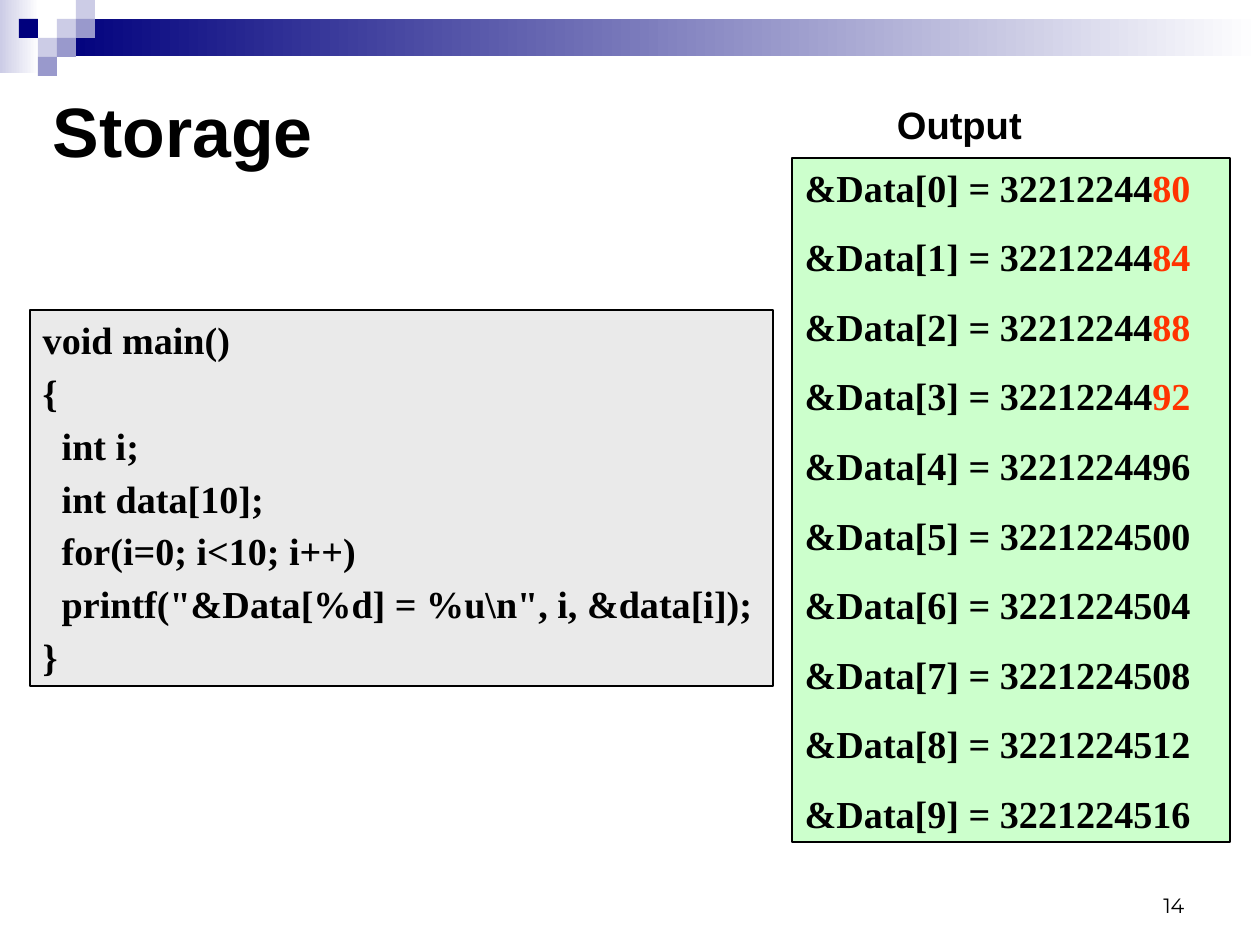
from pptx import Presentation
from pptx.dml.color import RGBColor
from pptx.enum.shapes import MSO_SHAPE
from pptx.enum.text import MSO_ANCHOR, MSO_AUTO_SIZE, PP_ALIGN
from pptx.util import Emu, Pt

BLACK = RGBColor(0x00, 0x00, 0x00)
WHITE = RGBColor(0xFF, 0xFF, 0xFF)
NAVY = RGBColor(0x00, 0x00, 0x7D)
LILAC = RGBColor(0x99, 0x99, 0xCC)
PALE_LILAC = RGBColor(0xCC, 0xCC, 0xE6)
GREY = RGBColor(0xEA, 0xEA, 0xEA)
GREEN = RGBColor(0xCC, 0xFF, 0xCC)
RED = RGBColor(0xFF, 0x33, 0x00)

EMU_PER_PX = 8000
SERIF = "Times New Roman"
SANS = "Arial"

CODE = r'''void main()
{
  int i;
  int data[10];
  for(i=0; i<10; i++)
  printf("&Data[%d] = %u\n", i, &data[i]);
}'''

FIRST_ADDRESS = 3221224480
INT_BYTES = 4
HIGHLIGHTED_ROWS = 4

# Column, row and colour of each corner square
SQUARE_SIDE = 19
SQUARES = [
    (3, 1, PALE_LILAC), (4, 0, PALE_LILAC), (4, 1, LILAC), (2, 2, PALE_LILAC),
    (1, 1, NAVY), (3, 2, LILAC), (2, 3, LILAC),
]


def px(*lengths):
    return [Emu(length * EMU_PER_PX) for length in lengths]


def write(frame, lines, size=24, font=SANS, bold=True, align=PP_ALIGN.LEFT,
          anchor=MSO_ANCHOR.TOP, inset=(8, 4), before=0, line_height=None):
    """Fill a text frame; each line is a list of (text, colour) spans."""
    frame.word_wrap = True
    frame.auto_size = MSO_AUTO_SIZE.NONE
    frame.vertical_anchor = anchor
    frame.margin_left = frame.margin_right = Pt(inset[0])
    frame.margin_top = frame.margin_bottom = Pt(inset[1])
    for index, line in enumerate(lines):
        para = frame.add_paragraph() if index else frame.paragraphs[0]
        para.alignment = align
        para.space_before = Pt(before if index else 0)
        if line_height:
            para.line_spacing = Pt(line_height)
        for text, colour in line:
            span = para.add_run()
            span.text = text
            span.font.name = font
            span.font.size = Pt(size)
            span.font.bold = bold
            span.font.color.rgb = colour


class StorageSlide:
    def __init__(self, deck):
        self.page = deck.slides.add_slide(deck.slide_layouts[5])
        self.shapes = self.page.shapes

    def rectangle(self, place, fill=None, line=None):
        box = self.shapes.add_shape(MSO_SHAPE.RECTANGLE, *px(*place))
        box.shadow.inherit = False
        if fill is not None:
            box.fill.solid()
            box.fill.fore_color.rgb = fill
        if line is None:
            box.line.fill.background()
        else:
            box.line.color.rgb = line
            box.line.width = Pt(1)
        return box

    def fading_band(self, place, start):
        band = self.rectangle(place)
        band.fill.gradient()
        band.fill.gradient_angle = 0
        for stop, colour, position in zip(band.fill.gradient_stops, (start, WHITE), (0, 1)):
            stop.color.rgb = colour
            stop.position = position

    def listing(self, place, fill, lines, before):
        box = self.rectangle(place, fill, BLACK)
        write(box.text_frame, lines, font=SERIF, before=before, line_height=28.8)

    def label(self, place, text, **style):
        box = self.shapes.add_textbox(*px(*place))
        write(box.text_frame, [[(text, BLACK)]], **style)

    def title(self, place, text):
        title = self.shapes.title
        title.left, title.top, title.width, title.height = px(*place)
        write(title.text_frame, [[(text, BLACK)]], size=44, anchor=MSO_ANCHOR.MIDDLE)


def output_line(index):
    address = str(FIRST_ADDRESS + INT_BYTES * index)
    start = f"&Data[{index}] = "
    if index < HIGHLIGHTED_ROWS:
        return [(start + address[:-2], BLACK), (address[-2:], RED)]
    return [(start + address, BLACK)]


def main():
    deck = Presentation()
    deck.slide_width, deck.slide_height = px(1260, 945)
    slide = StorageSlide(deck)

    slide.fading_band((0, 0, 39, 73), PALE_LILAC)
    slide.fading_band((57, 19, 1203, 37), NAVY)
    for column, row, colour in SQUARES:
        slide.rectangle((column * SQUARE_SIDE, row * SQUARE_SIDE,
                         SQUARE_SIDE, SQUARE_SIDE), colour)

    slide.title((40, 82, 1190, 96), "Storage")
    slide.listing((30, 310, 743, 376), GREY,
                  [[(line, BLACK)] for line in CODE.split("\n")], before=4.5)
    slide.listing((792, 158, 438, 684), GREEN,
                  [output_line(index) for index in range(10)], before=15)
    slide.label((897, 101, 134, 46), "Output", inset=(0, 0), line_height=28.8)
    slide.label((903, 861, 294, 63), "14", size=13, font="Montserrat", bold=False,
                align=PP_ALIGN.RIGHT, anchor=MSO_ANCHOR.BOTTOM)
    deck.save("out.pptx")


if __name__ == "__main__":
    main()
